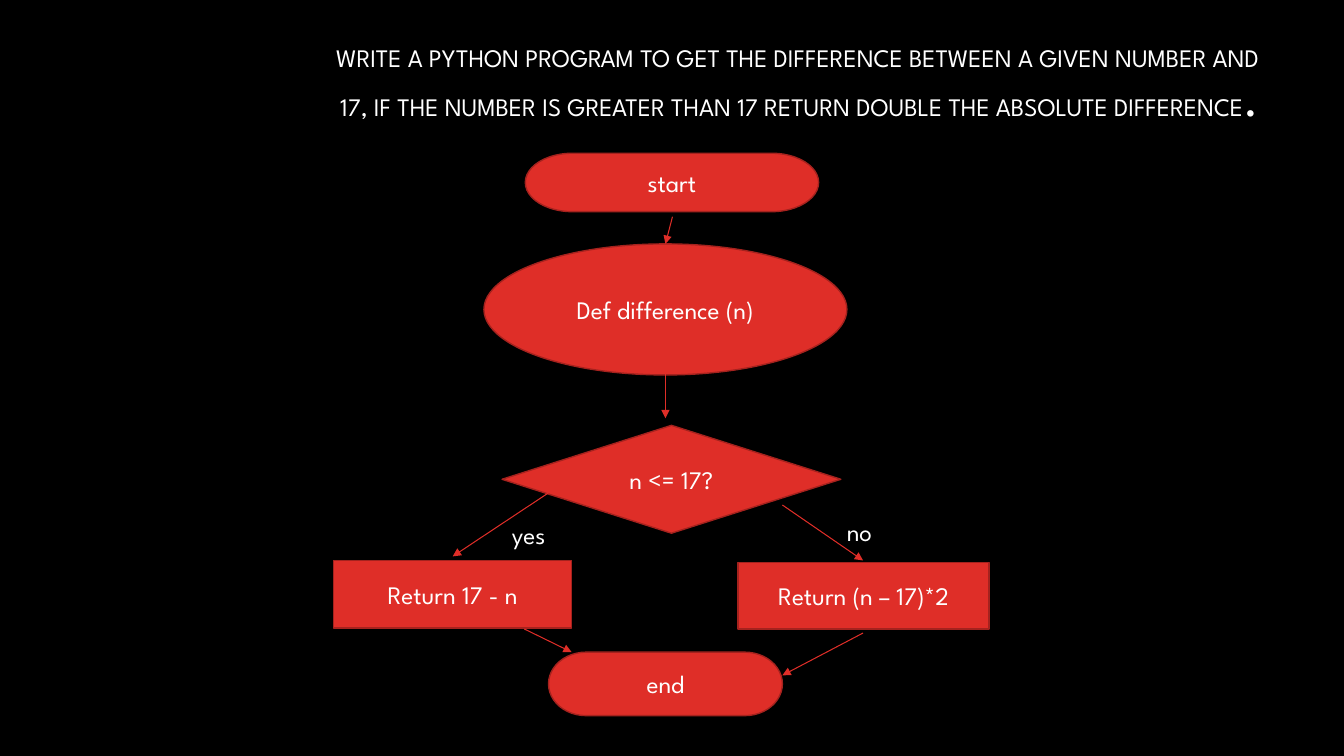
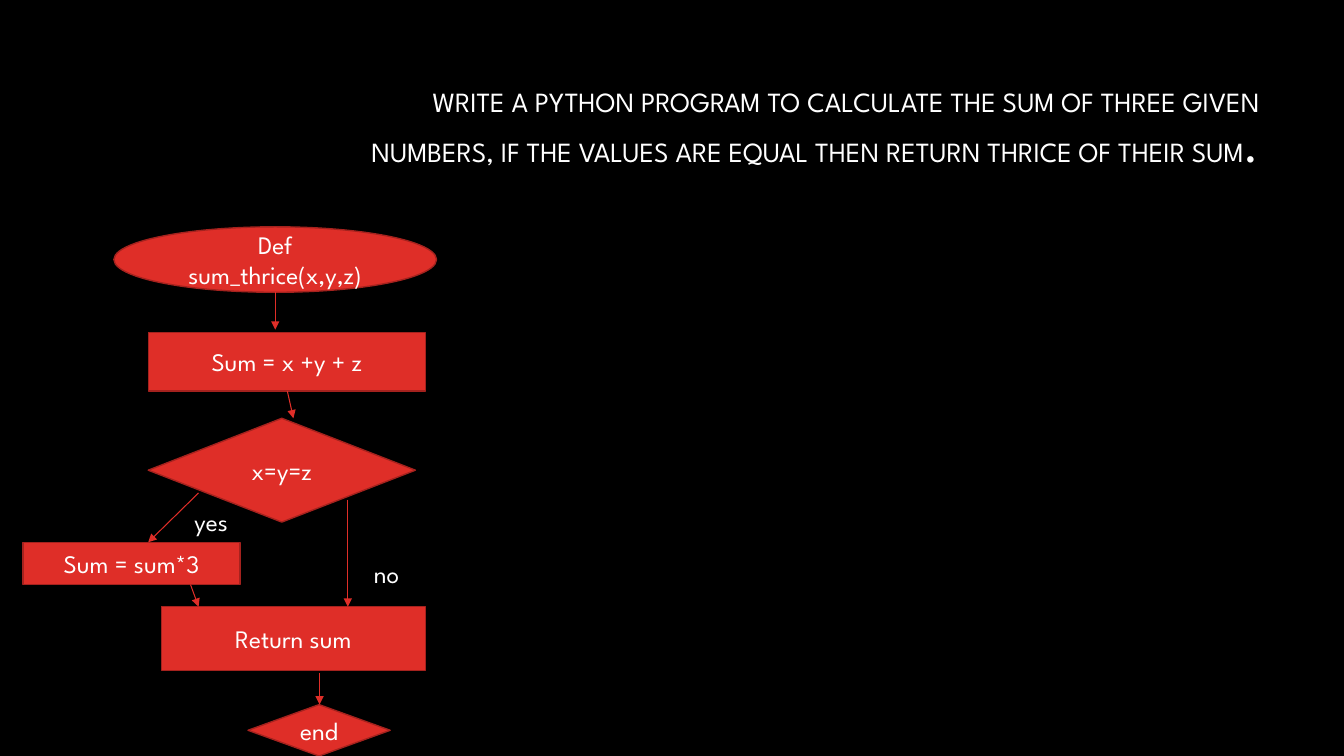
from lxml.etree import SubElement
from pptx import Presentation
from pptx.dml.color import RGBColor
from pptx.enum.shapes import MSO_CONNECTOR, MSO_SHAPE
from pptx.enum.text import MSO_ANCHOR, MSO_AUTO_SIZE, PP_ALIGN
from pptx.oxml.ns import qn
from pptx.util import Inches, Pt

COLORS = {"background": "000000", "text": "FFFFFF", "node": "DF2E28", "edge": "A5221E"}
FONT = "League Spartan"
TITLE_LEFT, TITLE_WIDTH, TITLE_HEIGHT = 3.17, 9.42, 0.92
LABEL_HEIGHT = 0.4
LABEL_WIDTHS = {"yes": 0.6, "no": 0.52}

TERMINATOR = MSO_SHAPE.FLOWCHART_TERMINATOR
DECISION = MSO_SHAPE.FLOWCHART_DECISION
PROCESS = MSO_SHAPE.FLOWCHART_PROCESS
RECTANGLE = MSO_SHAPE.RECTANGLE
OVAL = MSO_SHAPE.OVAL

DIFFERENCE = {
    "title": "WRITE A PYTHON PROGRAM TO GET THE DIFFERENCE BETWEEN A GIVEN NUMBER AND 17, "
             "IF THE NUMBER IS GREATER THAN 17 RETURN DOUBLE THE ABSOLUTE DIFFERENCE",
    "title_top": 0.4,
    "title_size": 18,
    "origin": (3.31, 1.52),
    "nodes": [
        (TERMINATOR, "start", 1.9, 0, 2.91, 0.58),
        (OVAL, "Def difference (n)", 1.49, 0.9, 3.6, 1.3),
        (DECISION, "n <= 17?", 1.67, 2.7, 3.36, 1.07),
        (RECTANGLE, "Return 17 - n", 0, 4.04, 2.36, 0.67),
        (RECTANGLE, "Return (n – 17)*2", 4.01, 4.06, 2.49, 0.66),
        (TERMINATOR, "end", 2.13, 4.95, 2.32, 0.63),
    ],
    "arrows": [
        (3.36, 0.63, 3.29, 0.9),
        (3.29, 2.19, 3.29, 2.63),
        (2.13, 3.37, 1.18, 4),
        (4.45, 3.49, 5.25, 4.04),
        (1.89, 4.72, 2.36, 4.95),
        (5.25, 4.76, 4.45, 5.18),
    ],
    "labels": [("yes", 1.67, 3.58), ("no", 4.99, 3.55)],
}

SUM_THRICE = {
    "title": "WRITE A PYTHON PROGRAM TO CALCULATE THE SUM OF THREE GIVEN NUMBERS, "
             "IF THE VALUES ARE EQUAL THEN RETURN THRICE OF THEIR SUM",
    "title_top": 0.84,
    "title_size": 19.8,
    "origin": (0.23, 2.25),
    "nodes": [
        (OVAL, "Def sum_thrice(x,y,z)", 0.9, 0, 3.2, 0.65),
        (RECTANGLE, "Sum = x +y + z", 1.24, 1.05, 2.75, 0.58),
        (DECISION, "x=y=z", 1.24, 1.9, 2.65, 1.03),
        (PROCESS, "Sum = sum*3", 0, 3.13, 2.15, 0.42),
        (PROCESS, "Return sum", 1.37, 3.77, 2.62, 0.63),
        (DECISION, "end", 2.23, 4.74, 1.41, 0.51),
    ],
    "arrows": [
        (2.5, 0.65, 2.5, 1.02),
        (2.62, 1.63, 2.68, 1.9),
        (1.74, 2.64, 1.24, 3.13),
        (3.22, 2.71, 3.22, 3.77),
        (1.66, 3.55, 1.74, 3.77),
        (2.94, 4.43, 2.94, 4.74),
    ],
    "labels": [("no", 3.38, 3.24), ("yes", 1.6, 2.72)],
}


def color(key):
    """Return the named palette colour."""
    return RGBColor.from_string(COLORS[key])


def write(paragraph, text, size=18, align=None):
    """Append a run of text in the shared font."""
    run = paragraph.add_run()
    run.text = text
    run.font.name = FONT
    run.font.size = Pt(size)
    run.font.color.rgb = color("text")
    if align is not None:
        paragraph.alignment = align


def add_title(slide, text, top, size):
    """Place the task statement, closed by a large full stop."""
    title = slide.shapes.title
    title.left, title.top = Inches(TITLE_LEFT), Inches(top)
    title.width, title.height = Inches(TITLE_WIDTH), Inches(TITLE_HEIGHT)
    frame = title.text_frame
    frame.auto_size = MSO_AUTO_SIZE.NONE
    frame.vertical_anchor = MSO_ANCHOR.MIDDLE
    statement = frame.paragraphs[0]
    statement.line_spacing = 0.9
    write(statement, text, size=size, align=PP_ALIGN.RIGHT)
    write(statement, ".", size=36)


def add_node(slide, kind, text, left, top, width, height):
    """Draw one flowchart step with its centred caption."""
    node = slide.shapes.add_shape(kind, Inches(left), Inches(top), Inches(width), Inches(height))
    node.shadow.inherit = False
    node.fill.solid()
    node.fill.fore_color.rgb = color("node")
    node.line.color.rgb = color("edge")
    node.line.width = Pt(1)
    frame = node.text_frame
    frame.word_wrap = True
    frame.vertical_anchor = MSO_ANCHOR.MIDDLE
    write(frame.paragraphs[0], text, align=PP_ALIGN.CENTER)


def add_arrow(slide, *ends):
    """Draw a straight arrow between two points."""
    arrow = slide.shapes.add_connector(MSO_CONNECTOR.STRAIGHT, *map(Inches, ends))
    arrow.line.color.rgb = color("node")
    arrow.line.width = Pt(0.75)
    SubElement(arrow.line._get_or_add_ln(), qn("a:tailEnd"), type="triangle")
    SubElement(arrow._element.spPr, qn("a:effectLst"))


def add_label(slide, text, left, top):
    """Write the answer beside a branch."""
    label = slide.shapes.add_textbox(
        Inches(left), Inches(top), Inches(LABEL_WIDTHS[text]), Inches(LABEL_HEIGHT))
    label.text_frame.word_wrap = False
    label.text_frame.auto_size = MSO_AUTO_SIZE.SHAPE_TO_FIT_TEXT
    write(label.text_frame.paragraphs[0], text)


def add_flowchart(slide, origin, nodes, arrows, labels):
    """Draw a flowchart whose parts are measured from its origin."""
    x, y = origin
    for kind, text, left, top, width, height in nodes:
        add_node(slide, kind, text, x + left, y + top, width, height)
    for x1, y1, x2, y2 in arrows:
        add_arrow(slide, x + x1, y + y1, x + x2, y + y2)
    for text, left, top in labels:
        add_label(slide, text, x + left, y + top)


def add_task_slide(prs, task):
    """Add a slide with a programming task and its flowchart."""
    slide = prs.slides.add_slide(prs.slide_layouts.get_by_name("Title Only"))
    add_title(slide, task["title"], task["title_top"], task["title_size"])
    add_flowchart(slide, task["origin"], task["nodes"], task["arrows"], task["labels"])


def main():
    """Build and save the presentation."""
    prs = Presentation()
    prs.slide_width, prs.slide_height = Inches(13.33), Inches(7.5)
    backdrop = prs.slide_master.background.fill
    backdrop.solid()
    backdrop.fore_color.rgb = color("background")
    for task in (DIFFERENCE, SUM_THRICE):
        add_task_slide(prs, task)
    prs.save("out.pptx")


if __name__ == "__main__":
    main()
